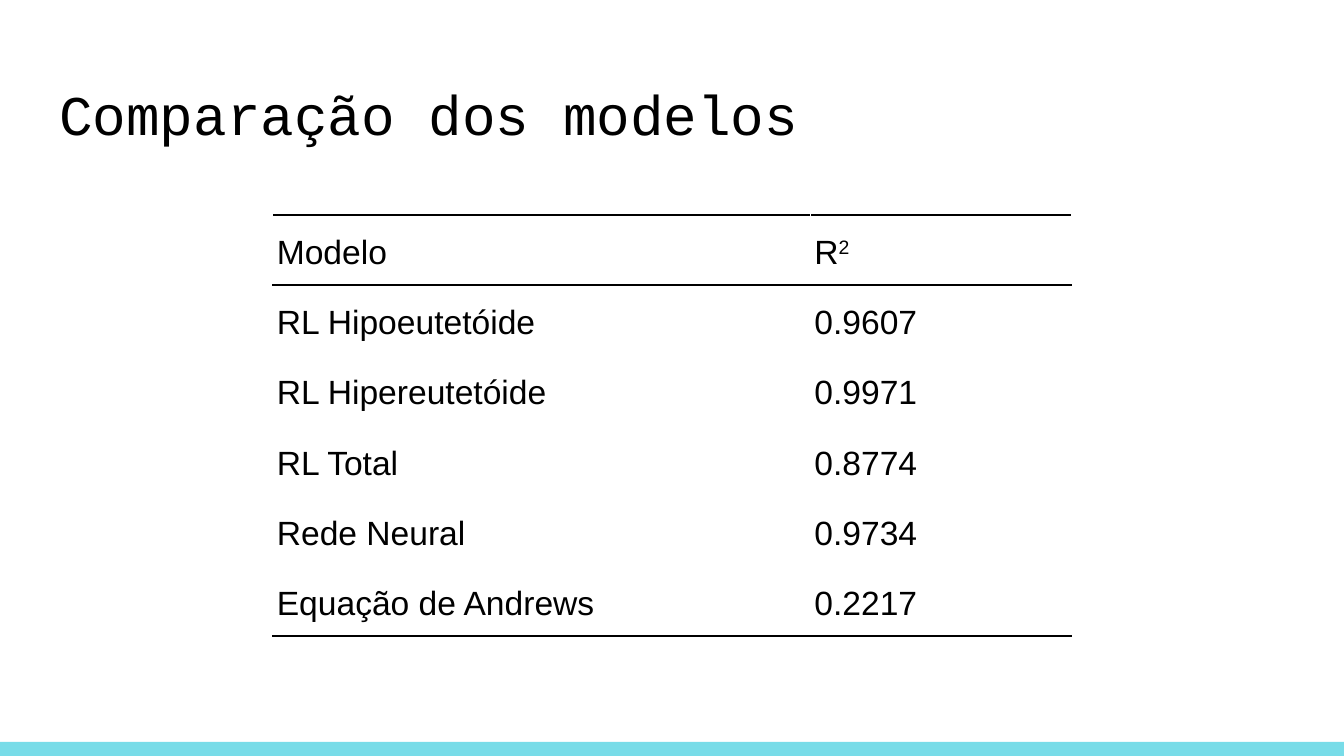
from typing import NamedTuple

from lxml.etree import SubElement
from pptx import Presentation
from pptx.dml.color import RGBColor
from pptx.enum.shapes import MSO_SHAPE
from pptx.enum.text import MSO_ANCHOR, PP_ALIGN
from pptx.oxml.ns import qn
from pptx.util import Inches, Pt

BLACK, WHITE, CYAN = "000000", "FFFFFF", "78DCE8"
SLIDE_WIDTH = 10
SLIDE_HEIGHT = SLIDE_WIDTH * 9 / 16
COLUMN_WIDTHS = (4, 1.94)
ROW_HEIGHT = 0.52


class Score(NamedTuple):
    model: str
    r_squared: str


SCORES = [
    Score("RL Hipoeutetóide", "0.9607"),
    Score("RL Hipereutetóide", "0.9971"),
    Score("RL Total", "0.8774"),
    Score("Rede Neural", "0.9734"),
    Score("Equação de Andrews", "0.2217"),
]


def rgb(color: str) -> RGBColor:
    return RGBColor.from_string(color)


def add_text(paragraph, text: str, *, size: float = 18, font: str = "Arial",
             color: str = BLACK, superscript: bool = False) -> None:
    run = paragraph.add_run()
    run.text = text
    run.font.size = Pt(size)
    run.font.name = font
    run.font.color.rgb = rgb(color)
    if superscript:
        run.font._element.set("baseline", "30000")


def set_borders(cell, *, ruled_top: bool, ruled_bottom: bool) -> None:
    """Draw black rules where asked and thin white borders elsewhere."""
    properties = cell._tc.get_or_add_tcPr()
    sides = {"L": False, "R": False, "T": ruled_top, "B": ruled_bottom}
    for position, (side, ruled) in enumerate(sides.items()):
        border = SubElement(properties, qn(f"a:ln{side}"),
                            w=str(Pt(1.5 if ruled else 0.75)))
        fill = SubElement(border, qn("a:solidFill"))
        SubElement(fill, qn("a:srgbClr"), val=BLACK if ruled else WHITE)
        properties.insert(position, border)


def add_score_table(slide, scores: list[Score]) -> None:
    rows = [Score("Modelo", "R"), *scores]
    table = slide.shapes.add_table(
        len(rows), len(COLUMN_WIDTHS), Inches(2.03), Inches(1.6),
        Inches(sum(COLUMN_WIDTHS)), Inches(ROW_HEIGHT * len(rows))).table
    table.first_row = table.horz_banding = False
    for column, width in zip(table.columns, COLUMN_WIDTHS):
        column.width = Inches(width)

    for r, score in enumerate(rows):
        table.rows[r].height = Inches(ROW_HEIGHT)
        for c, text in enumerate(score):
            cell = table.cell(r, c)
            cell.vertical_anchor = MSO_ANCHOR.BOTTOM
            cell.margin_left = cell.margin_right = Inches(0.03)
            cell.margin_top = cell.margin_bottom = Inches(0.1)
            cell.fill.background()
            set_borders(cell, ruled_top=r in (0, 1),
                        ruled_bottom=r in (0, len(rows) - 1))
            paragraph = cell.text_frame.paragraphs[0]
            paragraph.line_spacing = 1.15 if r or c else 1.0
            add_text(paragraph, text)
    add_text(table.cell(0, 1).text_frame.paragraphs[0], "2", superscript=True)


def add_footer_band(slide) -> None:
    band = slide.shapes.add_shape(MSO_SHAPE.RECTANGLE, 0, Inches(5.52),
                                  Inches(SLIDE_WIDTH), Inches(0.11))
    band.shadow.inherit = False
    band.fill.solid()
    band.fill.fore_color.rgb = rgb(CYAN)
    band.line.fill.background()


def format_title(slide, text: str) -> None:
    title = slide.shapes.title
    title.left, title.top = Inches(0.34), Inches(0.49)
    title.width, title.height = Inches(9.32), Inches(0.63)
    frame = title.text_frame
    frame.word_wrap = True
    frame.vertical_anchor = MSO_ANCHOR.TOP
    frame.margin_left = frame.margin_right = Inches(0.1)
    frame.margin_top = frame.margin_bottom = Inches(0.1)
    paragraph = frame.paragraphs[0]
    paragraph.alignment = PP_ALIGN.LEFT
    add_text(paragraph, text, size=30, font="Courier New")


def main() -> None:
    deck = Presentation()
    deck.slide_width = Inches(SLIDE_WIDTH)
    deck.slide_height = Inches(SLIDE_HEIGHT)
    slide = deck.slides.add_slide(deck.slide_layouts.get_by_name("Title Only"))
    add_footer_band(slide)
    format_title(slide, "Comparação dos modelos")
    add_score_table(slide, SCORES)
    deck.save("out.pptx")


if __name__ == "__main__":
    main()
